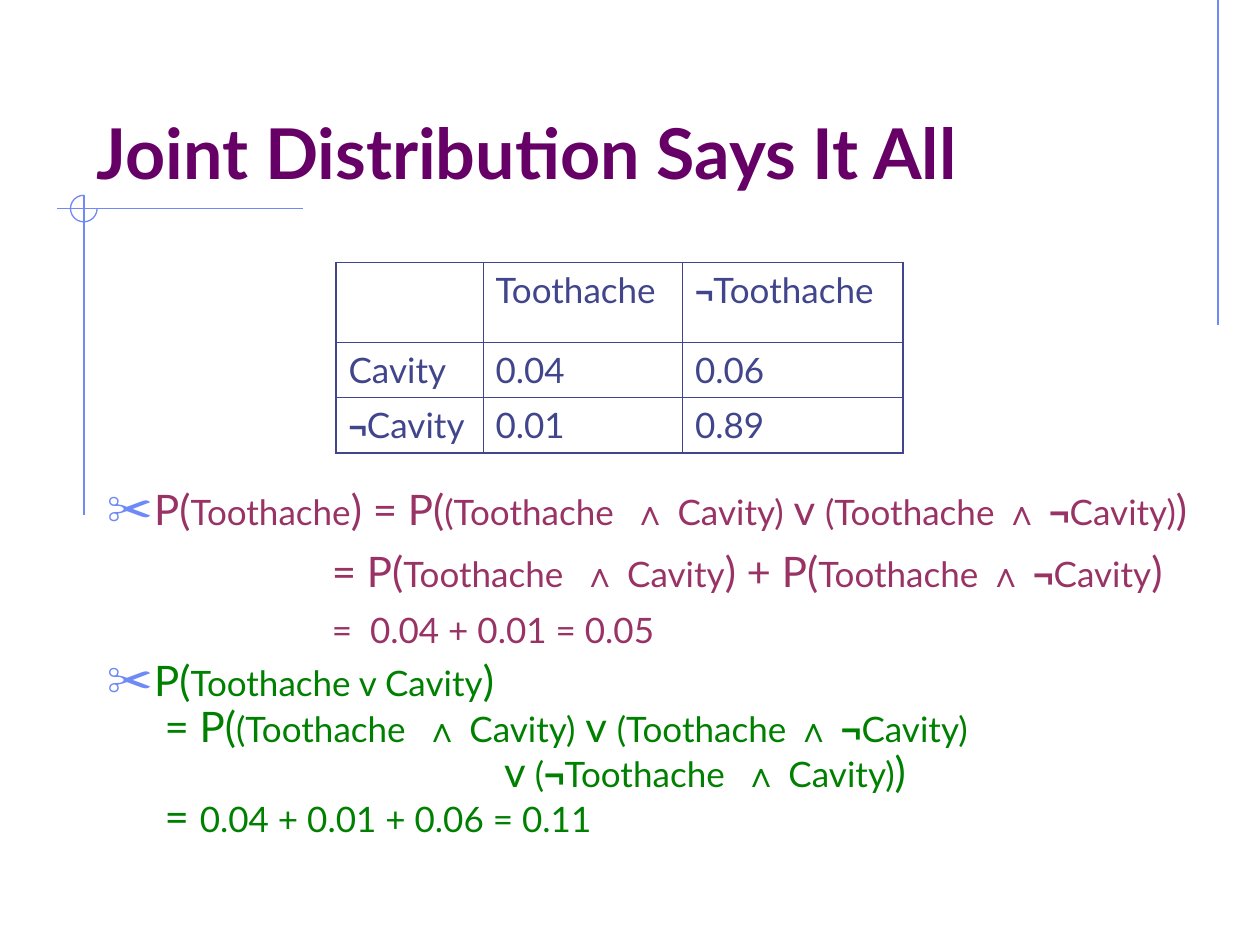
import pptx
import pptx.util
import pptx.dml.color
import pptx.enum.shapes
import pptx.enum.text
import pptx.oxml.ns
from lxml import etree

Pt = pptx.util.Pt
qn = pptx.oxml.ns.qn

RULE, PURPLE, INDIGO = "6F89F7", "660066", "40458C"
PLUM, GREEN = "993366", "008000"

STYLES = {
    "title": {"name": "Lato", "size": Pt(40), "bold": True},
    "large": {"name": "Lato", "size": Pt(24), "bold": False},
    "small": {"name": "Lato", "size": Pt(20), "bold": False},
    "sign": {"name": "Arial", "size": Pt(20), "bold": True},
    "cell sign": {"name": "Arial", "size": Pt(18), "bold": True},
}

AND = [("small", "Toothache "), ("sign", " ∧ "), ("small", "Cavity")]
AND_NOT = [("small", "Toothache"), ("sign", " ∧ ¬"), ("small", "Cavity")]
OPEN, CLOSE = ("small", "("), ("small", ")")
EITHER = [OPEN, *AND, CLOSE, ("large", " v "), OPEN, *AND_NOT, CLOSE]

# colour, left margin, space before, bulleted, spans
FORMULAS = [
    (PLUM, 27, 6, True, [("large", "P("), ("small", "Toothache"), ("large", ") = P("),
                         *EITHER, ("large", ")")]),
    (PLUM, 128.5, 9.5, False, [("large", "= P("), *AND, ("large", ") + P("),
                               *AND_NOT, ("large", ")")]),
    (PLUM, 128.5, 9.5, False, [("small", "=  0.04 + 0.01 = 0.05")]),
    (GREEN, 27, 5.5, True, [("large", "P("), ("small", "Toothache v Cavity"),
                            ("large", ")")]),
    (GREEN, 33, 0, False, [("large", "= P("), *EITHER]),
    (GREEN, 227, 0, False, [("large", "v"), ("small", " ("), ("sign", "¬"), *AND,
                            CLOSE, ("large", ")")]),
    (GREEN, 33, 0, False, [("large", "= "), ("small", "0.04 + 0.01 + 0.06 = 0.11")]),
]

ROWS = [
    ["", "Toothache", "¬Toothache"],
    ["Cavity", "0.04", "0.06"],
    ["¬Cavity", "0.01", "0.89"],
]


def rgb(value):
    return pptx.dml.color.RGBColor.from_string(value)


def apply(target, values):
    for key, value in values.items():
        setattr(target, key, value)


def add_spans(para, spans, color):
    for style, text in spans:
        span = para.add_run()
        span.text = text
        apply(span.font, STYLES[style])
        span.font.color.rgb = rgb(color)


def add_box(page, left, top, width, height, anchor):
    box = page.shapes.add_textbox(Pt(left), Pt(top), Pt(width), Pt(height))
    apply(box.text_frame, {"word_wrap": True, "vertical_anchor": anchor})
    return box.text_frame


def add_rule(page, x1, y1, x2, y2):
    rule = page.shapes.add_connector(
        pptx.enum.shapes.MSO_CONNECTOR.STRAIGHT, Pt(x1), Pt(y1), Pt(x2), Pt(y2))
    rule.line.color.rgb = rgb(RULE)
    rule.line.width = Pt(0.75)
    etree.SubElement(rule._element.spPr, qn("a:effectLst"))


def add_open_circle(page, left, top, size):
    """Three quarters of a circle, open at the upper right."""
    arc = page.shapes.add_shape(
        pptx.enum.shapes.MSO_SHAPE.ARC, Pt(left), Pt(top), Pt(size), Pt(size))
    for index, degrees in enumerate((0, 270)):
        arc.adjustments[index] = degrees * 0.6
    arc.shadow.inherit = False
    arc.fill.background()
    arc.line.color.rgb = rgb(RULE)
    arc.line.width = Pt(0.75)


def set_indent(para, margin, bulleted):
    props = para._p.get_or_add_pPr()
    props.set("marL", str(Pt(margin)))
    props.set("indent", str(Pt(-27 if bulleted else 0)))
    if not bulleted:
        etree.SubElement(props, qn("a:buNone"))
        return
    color = etree.SubElement(props, qn("a:buClr"))
    etree.SubElement(color, qn("a:srgbClr"), val=RULE)
    etree.SubElement(props, qn("a:buSzPct"), val="110000")
    etree.SubElement(props, qn("a:buFont"), typeface="Arial")
    etree.SubElement(props, qn("a:buChar"), char="✂")


def add_formulas(page):
    frame = add_box(page, 54, 276, 666, 222, pptx.enum.text.MSO_ANCHOR.TOP)
    for index, (color, margin, before, bulleted, spans) in enumerate(FORMULAS):
        para = frame.add_paragraph() if index else frame.paragraphs[0]
        apply(para, {"line_spacing": 0.9, "space_before": Pt(before)})
        set_indent(para, margin, bulleted)
        add_spans(para, spans, color)


def set_borders(cell, widths):
    props = cell._tc.get_or_add_tcPr()
    for index, (side, width) in enumerate(widths.items()):
        line = etree.Element(qn("a:" + side), w=str(Pt(width)))
        fill = etree.SubElement(line, qn("a:solidFill"))
        etree.SubElement(fill, qn("a:srgbClr"), val=INDIGO)
        props.insert(index, line)


def add_probabilities(page):
    table = page.shapes.add_table(3, 3, Pt(192), Pt(150), Pt(324), Pt(108.7)).table
    apply(table, {"first_row": False, "horz_banding": False})
    for column, width in zip(table.columns, (84, 114, 126)):
        column.width = Pt(width)
    for row, height in zip(table.rows, (45.7, 31.5, 31.5)):
        row.height = Pt(height)
    for r, texts in enumerate(ROWS):
        for c, text in enumerate(texts):
            cell = table.cell(r, c)
            cell.fill.background()
            outer = {"lnL": c == 0, "lnR": c == 2, "lnT": r == 0, "lnB": r == 2}
            set_borders(cell, {side: 1.08 if edge else 0.45
                               for side, edge in outer.items()})
            if not text:
                continue
            para = cell.text_frame.paragraphs[0]
            para.space_before = Pt(5)
            sign = [("cell sign", "¬")] if text.startswith("¬") else []
            add_spans(para, sign + [("small", text.lstrip("¬"))], INDIGO)


def main():
    deck = pptx.Presentation()
    apply(deck, {"slide_width": Pt(720), "slide_height": Pt(540)})
    page = deck.slides.add_slide(deck.slide_layouts[6])

    add_rule(page, 696, 0, 696, 186)
    add_rule(page, 173, 119.2, 32.5, 119.2)
    add_rule(page, 48, 111.6, 48, 294.5)
    add_open_circle(page, 40.3, 111.6, 15.2)

    title = add_box(page, 48, 24, 654, 90, pptx.enum.text.MSO_ANCHOR.BOTTOM)
    add_spans(title.paragraphs[0], [("title", "Joint Distribution Says It All")], PURPLE)
    add_formulas(page)
    add_probabilities(page)
    deck.save("out.pptx")


if __name__ == "__main__":
    main()
